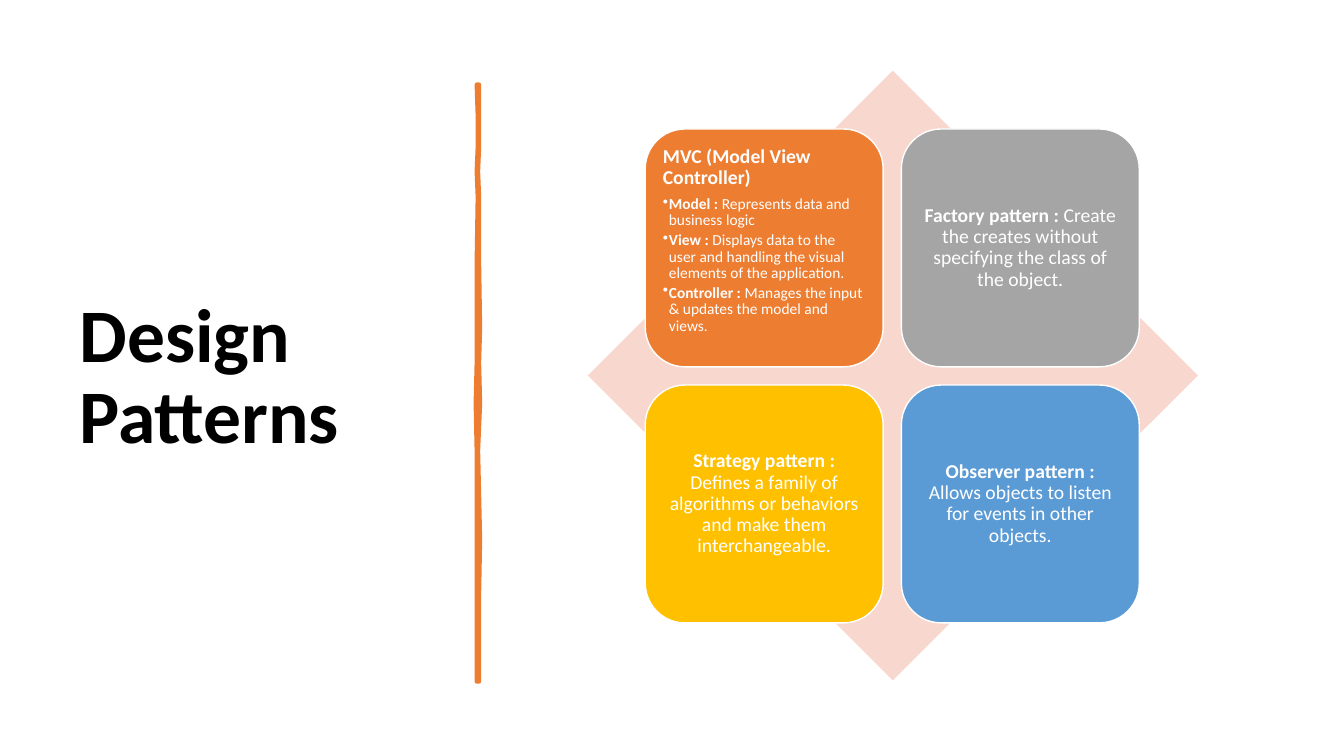
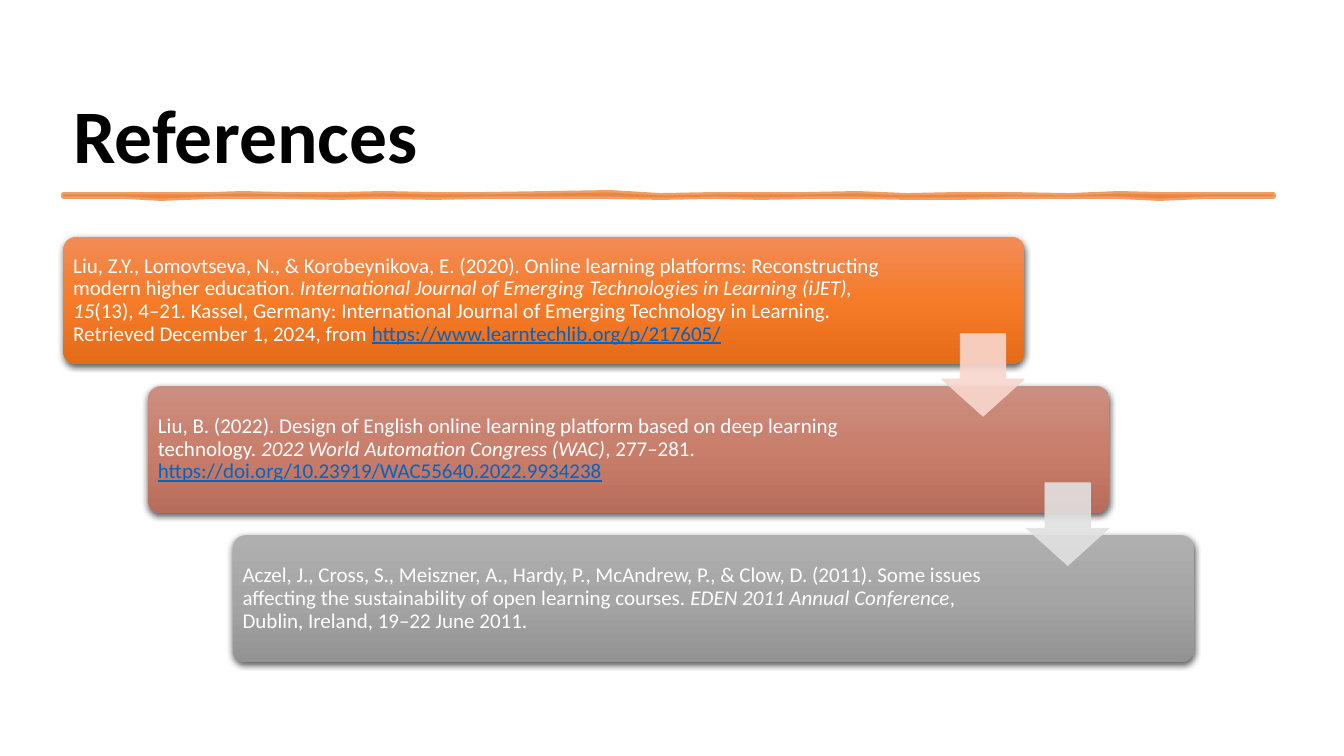
from dataclasses import dataclass

from lxml.etree import SubElement
from pptx import Presentation
from pptx.dml.color import RGBColor
from pptx.enum.shapes import MSO_SHAPE
from pptx.enum.text import MSO_ANCHOR, PP_ALIGN
from pptx.oxml import parse_xml
from pptx.oxml.ns import nsdecls, qn
from pptx.shapes.autoshape import Shape
from pptx.slide import Slide
from pptx.text.text import TextFrame
from pptx.util import Emu, Pt

PX = 9144
FONT = "Calibri"
BLACK, WHITE, LINK = "000000", "FFFFFF", "0563C1"
ORANGE, GRAY, GOLD, BLUE = "ED7D31", "A5A5A5", "FFC000", "5B9BD5"
BLUSH, SILVER = "F8D7CE", "E1E1E1"
INSET = 6
TILE_SIZE, TILE_GAP = 236, 18
CARD_WIDTH, CARD_HEIGHT = 953, 126
CARD_STEP_X, CARD_STEP_Y = 84, 148
ARROW_SIZE = 82


@dataclass(frozen=True)
class Span:
    text: str
    bold: bool = False
    italic: bool = False
    link: bool = False


@dataclass(frozen=True)
class Block:
    spans: tuple[Span, ...]
    size: int
    color: str = WHITE
    centered: bool = False
    bullet: bool = False
    space_after: int = 0


@dataclass(frozen=True)
class Box:
    left: int
    top: int
    width: int
    height: int


@dataclass(frozen=True)
class Tile:
    color: str
    blocks: tuple[Block, ...]
    anchor: MSO_ANCHOR = MSO_ANCHOR.MIDDLE


@dataclass(frozen=True)
class Card:
    gradient: tuple[str, str, str]
    right_inset: int
    spans: tuple[Span, ...]


@dataclass(frozen=True)
class Stroke:
    start: int
    end: int
    center: int
    vertical: bool
    weight: float
    opacity: int
    wobble: tuple[tuple[int, int, int], ...]


def pattern_tile(color: str, name: str, description: str) -> Tile:
    spans = (Span(f"{name} : ", bold=True), Span(description))
    return Tile(color, (Block(spans, 14, centered=True),))


def part_bullet(name: str, description: str) -> Block:
    spans = (Span(f"{name} : ", bold=True), Span(description))
    return Block(spans, 11, bullet=True, space_after=2)


TILES = (
    Tile(ORANGE, (
        Block((Span("MVC (Model View Controller)", bold=True),), 14, space_after=5),
        part_bullet("Model", "Represents data and business logic"),
        part_bullet("View", "Displays data to the user and handling the visual "
                    "elements of the application."),
        part_bullet("Controller", "Manages the input & updates the model and views."),
    ), MSO_ANCHOR.TOP),
    pattern_tile(GRAY, "Factory pattern",
                 "Create the creates without specifying the class of the object."),
    pattern_tile(GOLD, "Strategy pattern",
                 "Defines a family of algorithms or behaviors and make them "
                 "interchangeable."),
    pattern_tile(BLUE, "Observer pattern",
                 "Allows objects to listen for events in other objects."),
)

CARDS = (
    Card(("F18C57", "F67B28", "E56C19"), 135, (
        Span("Liu, Z.Y., Lomovtseva, N., & Korobeynikova, E. (2020). Online learning "
             "platforms: Reconstructing modern higher education. "),
        Span("International Journal of Emerging Technologies in Learning (iJET), 15",
             italic=True),
        Span("(13), 4–21. Kassel, Germany: International Journal of Emerging "
             "Technology in Learning. Retrieved December 1, 2024, from "),
        Span("https://www.learntechlib.org/p/217605/", link=True),
    )),
    Card(("CB8F81", "C97E6B", "B76D5B"), 172, (
        Span("Liu, B. (2022). Design of English online learning platform based on "
             "deep learning technology. "),
        Span("2022 World Automation Congress (WAC)", italic=True),
        Span(", 277–281. "),
        Span("https://doi.org/10.23919/WAC55640.2022.9934238", link=True),
    )),
    Card(("AFAFAF", "A5A5A5", "939393"), 172, (
        Span("Aczel, J., Cross, S., Meiszner, A., Hardy, P., McAndrew, P., & Clow, D. "
             "(2011). Some issues affecting the sustainability of open learning "
             "courses. "),
        Span("EDEN 2011 Annual Conference", italic=True),
        Span(", Dublin, Ireland, 19–22 June 2011."),
    )),
)

DIVIDER = Stroke(84, 676, 474, True, 3.25, 100, (
    (115, 0, 1), (146, 0, 1), (170, -1, 0), (195, 0, 1), (260, -1, 1),
    (325, -1, 2), (360, -1, 1), (400, -2, 2), (447, -1, 0), (490, -1, 1),
    (535, -1, 2), (590, -1, 1), (645, -1, 1),
))
UNDERLINE = Stroke(63, 1263, 194, False, 3.5, 75, (
    (90, -1, 1), (125, -1, 1), (160, -1, 3), (210, -1, 1), (240, -2, 1),
    (280, -1, 1), (335, -1, 2), (380, -2, 1), (430, -1, 2), (480, -1, 1),
    (545, -2, 1), (605, -3, 1), (655, 0, 2), (710, -1, 1), (755, -1, 2),
    (800, -1, 1), (850, -2, 1), (900, 0, 2), (950, -1, 2), (1000, -1, 1),
    (1060, 0, 1), (1110, -2, 1), (1150, -1, 3), (1195, -1, 1), (1230, -1, 1),
))


def rgb(color: str) -> RGBColor:
    return RGBColor.from_string(color)


def set_opacity(shape: Shape, percent: int) -> None:
    for color in shape._element.spPr.iter(qn("a:srgbClr")):
        SubElement(color, qn("a:alpha")).set("val", str(percent * 1000))


def paint(shape: Shape, fill: str, line: str | None = None, weight: float = 1,
          opacity: int = 100) -> None:
    shape.shadow.inherit = False
    shape.fill.solid()
    shape.fill.fore_color.rgb = rgb(fill)
    if line is None:
        shape.line.fill.background()
    else:
        shape.line.color.rgb = rgb(line)
        shape.line.width = Pt(weight)
    if opacity < 100:
        set_opacity(shape, opacity)


def paint_gradient(shape: Shape, colors: tuple[str, str, str]) -> None:
    paint(shape, colors[1])
    stops = "".join(
        f'<a:gs pos="{index * 50000}"><a:srgbClr val="{color}"/></a:gs>'
        for index, color in enumerate(colors))
    gradient = parse_xml(
        f'<a:gradFill {nsdecls("a")} rotWithShape="1"><a:gsLst>{stops}</a:gsLst>'
        '<a:lin ang="5400000" scaled="0"/></a:gradFill>')
    properties = shape._element.spPr
    properties.replace(properties.find(qn("a:solidFill")), gradient)


def add_drop_shadow(shape: Shape) -> None:
    effects = shape._element.spPr.find(qn("a:effectLst"))
    effects.append(parse_xml(
        f'<a:outerShdw {nsdecls("a")} blurRad="{Pt(4.5)}" dist="{Pt(1.5)}" '
        'dir="5400000" algn="ctr" rotWithShape="0">'
        '<a:srgbClr val="000000"><a:alpha val="63000"/></a:srgbClr></a:outerShdw>'))


def add_preset(slide: Slide, preset: MSO_SHAPE, box: Box) -> Shape:
    return slide.shapes.add_shape(preset, Emu(box.left * PX), Emu(box.top * PX),
                                  Emu(box.width * PX), Emu(box.height * PX))


def set_insets(text_frame: TextFrame, right: int = INSET) -> None:
    text_frame.margin_left = text_frame.margin_top = Emu(INSET * PX)
    text_frame.margin_bottom = Emu(INSET * PX)
    text_frame.margin_right = Emu(right * PX)


def write_blocks(text_frame: TextFrame, blocks: tuple[Block, ...],
                 anchor: MSO_ANCHOR) -> None:
    text_frame.word_wrap = True
    text_frame.vertical_anchor = anchor
    for index, block in enumerate(blocks):
        paragraph = text_frame.add_paragraph() if index else text_frame.paragraphs[0]
        paragraph.alignment = PP_ALIGN.CENTER if block.centered else PP_ALIGN.LEFT
        paragraph.line_spacing = 0.9
        paragraph.space_after = Pt(block.space_after)
        if block.bullet:
            properties = paragraph._p.get_or_add_pPr()
            properties.set("marL", str(INSET * PX))
            properties.set("indent", str(-INSET * PX))
            SubElement(properties, qn("a:buChar")).set("char", "•")
        for span in block.spans:
            run = paragraph.add_run()
            run.text = span.text
            run.font.name = FONT
            run.font.size = Pt(block.size)
            run.font.bold = span.bold
            run.font.italic = span.italic
            run.font.underline = span.link
            run.font.color.rgb = rgb(LINK if span.link else block.color)


def add_title(slide: Slide, text: str, box: Box, anchor: MSO_ANCHOR) -> None:
    title = slide.shapes.add_textbox(Emu(box.left * PX), Emu(box.top * PX),
                                     Emu(box.width * PX), Emu(box.height * PX))
    write_blocks(title.text_frame, (Block((Span(text, bold=True),), 54, BLACK),), anchor)


def add_stroke(slide: Slide, stroke: Stroke) -> None:
    edges = ((stroke.start, -1, 1), *stroke.wobble, (stroke.end, -1, 1))
    outline = [(along, stroke.center + low) for along, low, _ in edges]
    outline += [(along, stroke.center + high) for along, _, high in reversed(edges)]
    if stroke.vertical:
        outline = [(across, along) for along, across in outline]
    builder = slide.shapes.build_freeform(*outline[0], scale=PX)
    builder.add_line_segments(outline[1:], close=True)
    shape = builder.convert_to_shape()
    paint(shape, ORANGE, ORANGE, stroke.weight, stroke.opacity)
    SubElement(shape.line._get_or_add_ln(), qn("a:round"))


def add_tile(slide: Slide, tile: Tile, index: int) -> None:
    row, column = divmod(index, 2)
    step = TILE_SIZE + TILE_GAP
    shape = add_preset(slide, MSO_SHAPE.ROUNDED_RECTANGLE,
                       Box(640 + column * step, 128 + row * step, TILE_SIZE, TILE_SIZE))
    paint(shape, tile.color, WHITE)
    set_insets(shape.text_frame)
    write_blocks(shape.text_frame, tile.blocks, tile.anchor)


def add_card(slide: Slide, card: Card, index: int) -> None:
    shape = add_preset(slide, MSO_SHAPE.ROUNDED_RECTANGLE,
                       Box(63 + index * CARD_STEP_X, 235 + index * CARD_STEP_Y,
                           CARD_WIDTH, CARD_HEIGHT))
    shape.adjustments[0] = 0.1
    paint_gradient(shape, card.gradient)
    add_drop_shadow(shape)
    set_insets(shape.text_frame, card.right_inset)
    write_blocks(shape.text_frame, (Block(card.spans, 15),), MSO_ANCHOR.MIDDLE)


def add_arrow(slide: Slide, color: str, index: int) -> None:
    arrow = add_preset(slide, MSO_SHAPE.DOWN_ARROW,
                       Box(934 + index * CARD_STEP_X, 331 + index * CARD_STEP_Y,
                           ARROW_SIZE, ARROW_SIZE))
    arrow.adjustments[0], arrow.adjustments[1] = 0.55, 0.45
    paint(arrow, color, color, 0.5, 90)


def build_patterns(slide: Slide) -> None:
    add_title(slide, "Design Patterns", Box(69, 70, 374, 611), MSO_ANCHOR.MIDDLE)
    add_stroke(slide, DIVIDER)
    paint(add_preset(slide, MSO_SHAPE.DIAMOND, Box(583, 70, 605, 605)), BLUSH)
    for index, tile in enumerate(TILES):
        add_tile(slide, tile, index)


def build_references(slide: Slide) -> None:
    add_title(slide, "References", Box(63, 26, 1208, 157), MSO_ANCHOR.BOTTOM)
    add_stroke(slide, UNDERLINE)
    for index, card in enumerate(CARDS):
        add_card(slide, card, index)
    for index, color in enumerate((BLUSH, SILVER)):
        add_arrow(slide, color, index)


def main() -> None:
    presentation = Presentation()
    presentation.slide_width = Emu(1333 * PX)
    presentation.slide_height = Emu(750 * PX)
    for build in (build_patterns, build_references):
        build(presentation.slides.add_slide(presentation.slide_layouts[6]))
    presentation.save("out.pptx")


if __name__ == "__main__":
    main()
